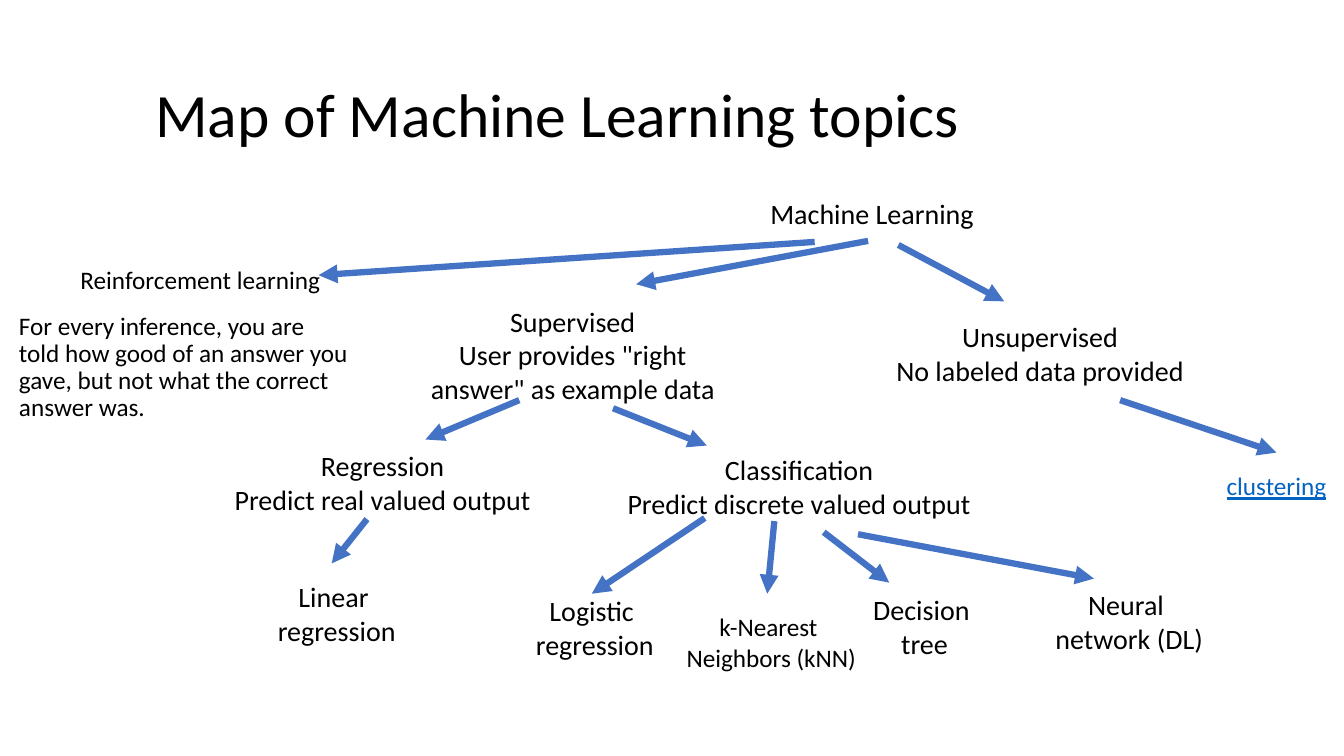
from dataclasses import dataclass

from lxml import etree
from pptx import Presentation
from pptx.dml.color import RGBColor
from pptx.enum.shapes import MSO_CONNECTOR as Connector
from pptx.enum.text import MSO_ANCHOR as Anchor, MSO_AUTO_SIZE as AutoSize, PP_ALIGN as Align
from pptx.oxml.ns import qn
from pptx.util import Inches, Pt


@dataclass(frozen=True)
class Theme:
    font: str = "Calibri"
    ink: RGBColor = RGBColor(0, 0, 0)
    arrow: RGBColor = RGBColor(0x44, 0x72, 0xC4)
    link: RGBColor = RGBColor(0x05, 0x63, 0xC1)
    title_size: int = 44
    topic_size: int = 20
    detail_size: int = 18
    arrow_width: float = 4.5


THEME = Theme()
TOPIC = {"size": Pt(THEME.topic_size)}
DETAIL = {"size": Pt(THEME.detail_size)}
LINK = DETAIL | {"color": THEME.link, "underline": True}
CENTERED = {"alignment": Align.CENTER}
NOTE = {"alignment": Align.LEFT, "line_spacing": 0.9, "space_before": Pt(10)}

TITLE = "Map of Machine Learning topics"
TOPICS = [
    ((7.15, 1.9, 3, 0.44), ["Machine Learning"], TOPIC, CENTERED),
    ((4.07, 2.97, 3.22, 1.11),
     ["Supervised", 'User provides "right answer" as example data'], TOPIC, CENTERED),
    ((8.62, 3.12, 3.39, 0.77), ["Unsupervised", "No labeled data provided"], TOPIC, CENTERED),
    ((2.06, 4.4, 3.47, 0.77), ["Regression", "Predict real valued output"], TOPIC, CENTERED),
    ((6.05, 4.44, 3.75, 0.77),
     ["Classification", "Predict discrete valued output"], TOPIC, CENTERED),
    ((1.84, 5.7, 3, 0.77), ["Linear ", "regression"], TOPIC, CENTERED),
    ((4.4, 5.84, 3, 0.77), ["Logistic ", "regression"], TOPIC, CENTERED),
    ((6.15, 6.02, 3, 0.71), ["k-Nearest ", "Neighbors (kNN)"], DETAIL, CENTERED),
    ((7.67, 5.83, 3, 0.77), ["Decision ", "tree"], TOPIC, CENTERED),
    ((9.7, 5.78, 3, 0.77), ["Neural ", "network (DL)"], TOPIC, CENTERED),
    ((11.16, 4.62, 3, 0.4), ["clustering"], LINK, CENTERED),
    ((0.7, 2.61, 3, 0.37), ["Reinforcement learning"], DETAIL, NOTE),
    ((0.09, 3.06, 3.46, 1.48),
     ["For every inference, you are told how good of an answer you gave, "
      "but not what the correct answer was."], DETAIL, NOTE),
]
ARROWS = [
    ((8.08, 2.4), (3.16, 2.73)),
    ((8.61, 2.39), (6.31, 2.82)),
    ((8.91, 2.43), (9.96, 2.99)),
    ((5.15, 3.97), (4.22, 4.36)),
    ((6.08, 4.05), (7.01, 4.42)),
    ((11.11, 3.97), (12.66, 4.49)),
    ((3.64, 5.15), (3.29, 5.59)),
    ((6.99, 5.14), (5.87, 5.89)),
    ((7.68, 5.17), (7.61, 5.89)),
    ((8.17, 5.28), (8.82, 5.78)),
    ((8.51, 5.3), (10.85, 5.74)),
]


class TopicMap:
    """Draws the parts of a topic map on one slide in a given theme."""

    def __init__(self, slide, theme):
        self.slide = slide
        self.theme = theme

    def fill_text(self, frame, lines, font_format, para_format):
        for index, line in enumerate(lines):
            para = frame.add_paragraph() if index else frame.paragraphs[0]
            for name, value in para_format.items():
                setattr(para, name, value)
            span = para.add_run()
            span.text = line
            font_values = {"name": self.theme.font, "color": self.theme.ink} | font_format
            span.font.color.rgb = font_values.pop("color")
            for name, value in font_values.items():
                setattr(span.font, name, value)

    def title(self, place, text):
        box = self.slide.shapes.title
        for name, value in zip(("left", "top", "width", "height"), place):
            setattr(box, name, Inches(value))
        frame = box.text_frame
        frame.auto_size = AutoSize.NONE
        frame.vertical_anchor = Anchor.MIDDLE
        self.fill_text(frame, [text], {"size": Pt(self.theme.title_size)},
                       {"alignment": Align.LEFT, "line_spacing": 0.9})

    def topic(self, place, lines, font_format, para_format):
        box = self.slide.shapes.add_textbox(*map(Inches, place))
        frame = box.text_frame
        frame.word_wrap = True
        frame.auto_size = AutoSize.SHAPE_TO_FIT_TEXT
        self.fill_text(frame, lines, font_format, para_format)

    def arrow(self, start, end):
        arrow = self.slide.shapes.add_connector(
            Connector.STRAIGHT, *map(Inches, start + end))
        arrow.line.color.rgb = self.theme.arrow
        arrow.line.width = Pt(self.theme.arrow_width)
        properties = arrow.element.spPr
        etree.SubElement(properties.find(qn("a:ln")), qn("a:tailEnd"), type="triangle")
        etree.SubElement(properties, qn("a:effectLst"))


def main():
    deck = Presentation()
    deck.slide_width, deck.slide_height = Inches(13.33), Inches(7.5)
    page = TopicMap(deck.slides.add_slide(deck.slide_layouts[5]), THEME)
    page.title((1.44, 0.44, 11.5, 1.45), TITLE)
    for topic in TOPICS:
        page.topic(*topic)
    for start, end in ARROWS:
        page.arrow(start, end)
    deck.save("out.pptx")


if __name__ == "__main__":
    main()
